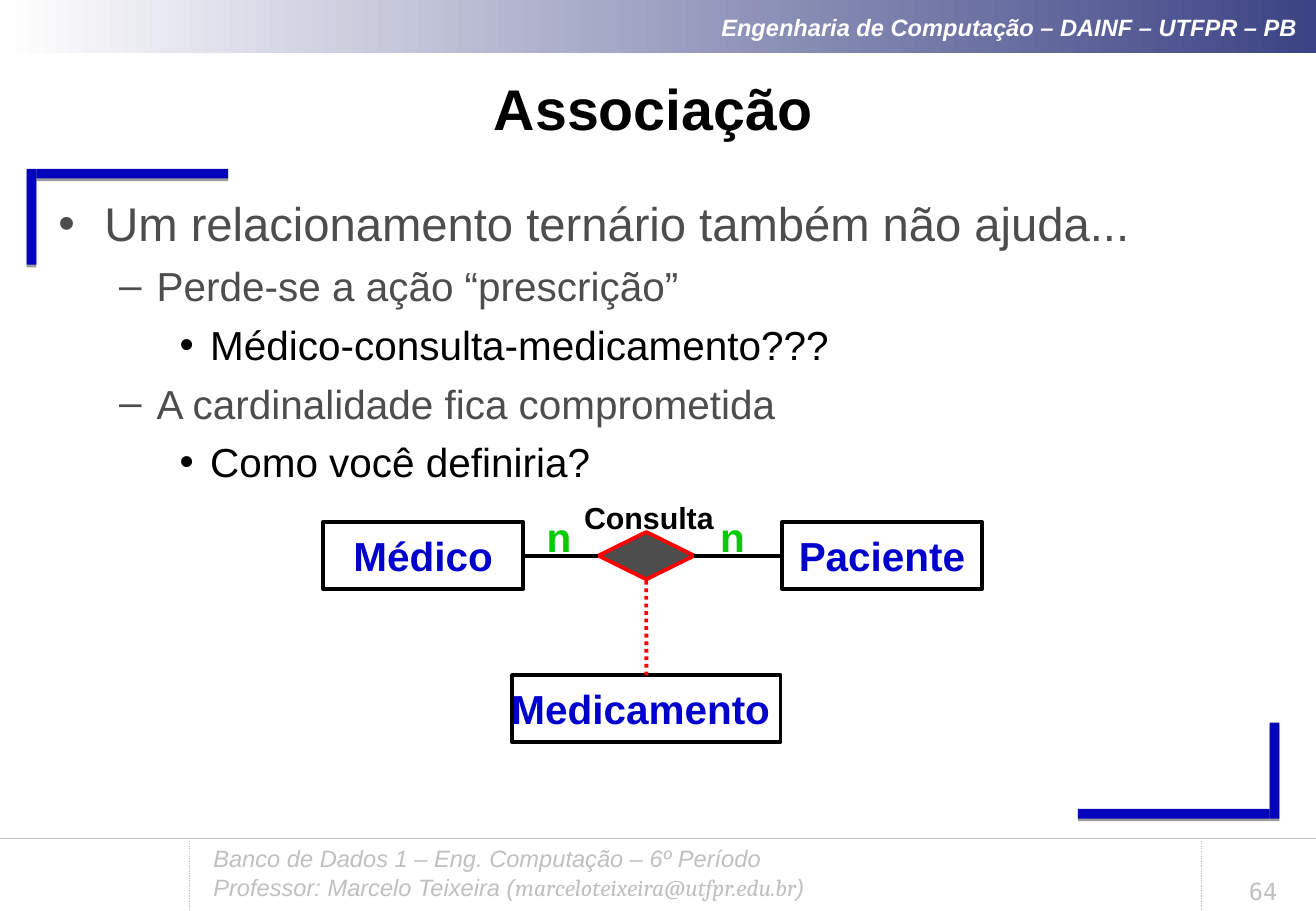
from lxml import etree
from pptx import Presentation, util as u
from pptx.dml.color import RGBColor
from pptx.enum import dml, shapes, text
from pptx.oxml import ns

WHITE = RGBColor(0xFF, 0xFF, 0xFF)
BLACK = RGBColor(0, 0, 0)
NAVY = RGBColor(0x3C, 0x43, 0x84)
BLUE = RGBColor(0x05, 0x05, 0xBB)
INK = RGBColor(0, 0, 0xCC)
GREEN = RGBColor(0, 0xCC, 0)
RED = RGBColor(0xFF, 0, 0)
DARK = RGBColor(0x4D, 0x4D, 0x4D)
GREY = RGBColor(0xC0, 0xC0, 0xC0)

WIDE, HIGH = u.Inches(10.84), u.Inches(7.5)
COL, ROW = WIDE / 100, HIGH / 100
RECT = shapes.MSO_SHAPE.RECTANGLE
ALIGN = text.PP_ALIGN
MID = text.MSO_ANCHOR.MIDDLE

LEVELS = [
    dict(mark="•", left=0.38, hang=0.38, gap=7, size=28, color=DARK),
    dict(mark="–", left=0.81, hang=0.31, gap=6, size=24, color=DARK),
    dict(mark="•", left=1.25, hang=0.25, gap=6, size=24, color=BLACK),
]
POINTS = [
    (0, "Um relacionamento ternário também não ajuda..."),
    (1, "Perde-se a ação “prescrição”"),
    (2, "Médico-consulta-medicamento???"),
    (1, "A cardinalidade fica comprometida"),
    (2, "Como você definiria?"),
]


def grid(x, y, w, h):
    return [round(n) for n in (x * COL, y * ROW, w * COL, h * ROW)]


def sub(node, tag, **attrs):
    return etree.SubElement(node, ns.qn(tag), attrs)


def apply(item, values):
    for name, value in values.items():
        setattr(item, name, value)


def write(para, words, size, color, name="Arial", **style):
    run = para.add_run()
    run.text = words
    apply(run.font, dict(style, size=u.Pt(size), name=name))
    run.font.color.rgb = color


def frame(item, inset=None, **values):
    area = item.text_frame
    apply(area, dict(dict(word_wrap=True, auto_size=text.MSO_AUTO_SIZE.NONE), **values))
    if inset is not None:
        sides = ("left", "top", "right", "bottom")
        apply(area, {"margin_" + side: u.Inches(inset) for side in sides})
    return area


def block(slide, kind, box, fill, edge=None):
    item = slide.shapes.add_shape(kind, *grid(*box))
    item.shadow.inherit = False
    if fill is not None:
        item.fill.solid()
        item.fill.fore_color.rgb = fill
    if edge is None:
        item.line.fill.background()
    else:
        item.line.color.rgb = edge
        item.line.width = u.Pt(2.25)
    return item


def line(slide, color, width, ends=(0, 0, 0, 0), dash=None):
    wire = slide.shapes.add_connector(shapes.MSO_CONNECTOR.STRAIGHT, *grid(*ends))
    wire.line.color.rgb = color
    apply(wire.line, dict(width=u.Pt(width), dash_style=dash))
    sub(wire._element.spPr, "a:effectLst")
    return wire


def join(slide, start, side, end, face, color, dash=None):
    wire = line(slide, color, 2.25, dash=dash)
    wire.begin_connect(start, side)
    wire.end_connect(end, face)


def header(slide, box):
    band = block(slide, RECT, box, None)
    band.fill.gradient()
    band.fill.gradient_angle = 0
    for stop, color, place in zip(band.fill.gradient_stops, (WHITE, NAVY), (0, 1)):
        stop.color.rgb = color
        stop.position = place
    para = frame(band, vertical_anchor=MID).paragraphs[0]
    para.alignment = ALIGN.RIGHT
    write(para, "Engenharia de Computação – DAINF – UTFPR – PB ", 14, WHITE,
          bold=True, italic=True)


def corners(slide, box):
    x, y, w, h = box
    thick, tall, long, deep = 0.74, 1.07, 14.58, 10.53
    right, base = x + w - thick, y + h
    bars = [
        (right - long, base - tall, long, tall),
        (right, base - deep, thick, deep),
        (x + thick, y, long, tall),
        (x, y, thick, deep),
    ]
    for bar in bars:
        item = block(slide, RECT, bar, BLUE)
        glow = item._element.spPr.find(ns.qn("a:effectLst"))
        shade = sub(glow, "a:outerShdw", blurRad="0", dist="20320", dir="5400000",
                    rotWithShape="0")
        sub(sub(shade, "a:srgbClr", val="000000"), "a:alpha", val="38000")


def footer(slide, box):
    x, y, w, h = box
    for post in (14.39, 91.33):
        line(slide, GREY, 0.75, (x + post, y, x + post, y + h), dml.MSO_LINE.ROUND_DOT)
    line(slide, GREY, 0.25, (x, y, x + w, y))

    area = frame(slide.shapes.add_textbox(*grid(x + 15.31, y, 69.56, 7.6)))
    write(area.paragraphs[0], "Banco de Dados 1 – Eng. Computação – 6º Período",
          14, GREY, italic=True)
    para = area.add_paragraph()
    for words, font in (("Professor: Marcelo Teixeira (", "Arial"),
                        ("marceloteixeira@utfpr.edu.br", "Cambria"), (")", "Arial")):
        write(para, words, 14, GREY, font, italic=True)

    page = slide.shapes.add_textbox(*grid(x + 91.97, y + 2.8, 8.03, 5.2))
    para = frame(page, vertical_anchor=text.MSO_ANCHOR.BOTTOM).paragraphs[0]
    para.alignment = ALIGN.CENTER
    write(para, "64", 14, GREY, "DejaVu Sans Mono")


def place(item, box):
    apply(item, dict(zip(("left", "top", "width", "height"), grid(*box))))


def title(slide, box):
    item = slide.shapes.title
    place(item, box)
    para = frame(item, vertical_anchor=MID).paragraphs[0]
    para.alignment = ALIGN.CENTER
    write(para, "Associação", 34, BLACK, bold=True)


def body(slide, box):
    item = slide.placeholders[1]
    place(item, box)
    area = frame(item, vertical_anchor=text.MSO_ANCHOR.TOP)
    for pos, (level, words) in enumerate(POINTS):
        look = LEVELS[level]
        para = area.add_paragraph() if pos else area.paragraphs[0]
        props = para._p.get_or_add_pPr()
        props.set("marL", str(u.Inches(look["left"])))
        props.set("indent", str(-u.Inches(look["hang"])))
        sub(sub(props, "a:buClr"), "a:srgbClr", val=str(look["color"]))
        sub(props, "a:buFont", typeface="Arial")
        sub(props, "a:buChar", char=look["mark"])
        gap = u.Pt(look["gap"] if pos else 0)
        apply(para, dict(level=level, alignment=ALIGN.LEFT, space_before=gap))
        write(para, words, look["size"], look["color"])


def label(item, words, size, color):
    area = frame(item, 0.04, word_wrap=False, vertical_anchor=MID)
    para = area.paragraphs[0]
    para.alignment = ALIGN.CENTER
    write(para, words, size, color, bold=True)


def model(slide, box):
    x, y, w, h = box
    wide, tall, top = 15.22, 7.33, y + 3.2
    hub, mid, drug = x + 24.58, top + tall / 2, 20.39
    nodes = []
    for name, spot in (
        ("Médico", (x, top, wide, tall)),
        ("Paciente", (x + w - wide, top, wide, tall)),
        ("Medicamento ", (hub - drug / 2, y + h - tall, drug, tall)),
    ):
        node = block(slide, RECT, spot, WHITE, BLACK)
        label(node, name, 24, INK)
        nodes.append(node)
    doctor, patient, drugs = nodes

    for words, size, color, mid_x, drop, span, deep in (
        ("Consulta", 18, BLACK, 24.77, 0, 11, 5.2),
        ("n", 24, GREEN, 17.94, 1.5, 9.5, 6.4),
        ("n", 24, GREEN, 31.13, 1.5, 9.5, 6.4),
    ):
        spot = grid(x + mid_x - span / 2, y + drop, span, deep)
        label(slide.shapes.add_textbox(*spot), words, size, color)

    visit = block(slide, shapes.MSO_SHAPE.DIAMOND,
                  (hub - 3.65, mid - 2.6, 7.29, 5.2), DARK, RED)
    join(slide, doctor, 3, visit, 1, BLACK)
    join(slide, visit, 3, patient, 1, BLACK)
    join(slide, drugs, 0, visit, 2, RED, dml.MSO_LINE.ROUND_DOT)


def main():
    deck = Presentation()
    apply(deck, dict(slide_width=WIDE, slide_height=HIGH))
    slide = deck.slides.add_slide(deck.slide_layouts[1])
    header(slide, (0.18, 0, 99.82, 5.87))
    corners(slide, (2.03, 18.53, 95.2, 71.33))
    footer(slide, (0, 92, 100, 8))
    title(slide, (2.03, 7.2, 95.2, 9.2))
    body(slide, (3.51, 20.67, 92.25, 44.13))
    model(slide, (24.54, 54.13, 50.09, 27.33))
    deck.save("out.pptx")


if __name__ == "__main__":
    main()
